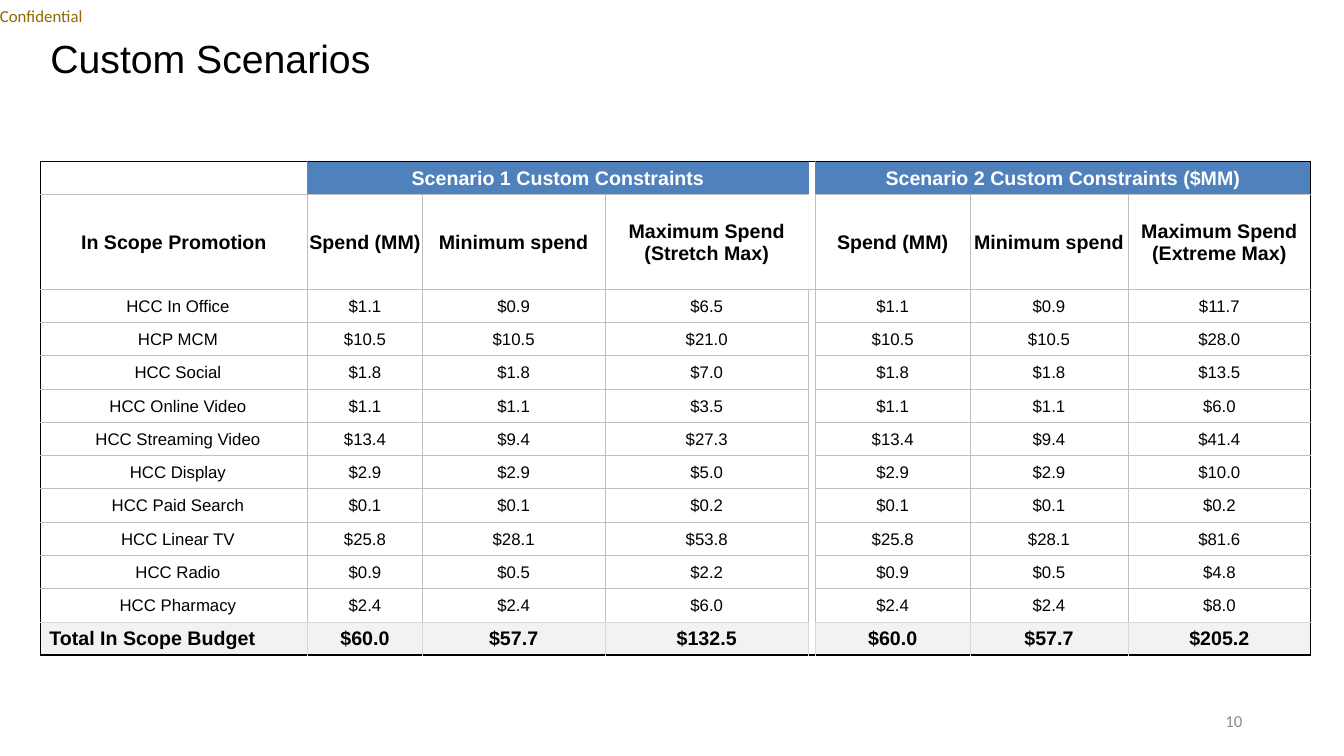
"""Build the custom scenarios slide with its spending table."""
from lxml.etree import SubElement as Sub
from pptx import Presentation
from pptx.dml.color import RGBColor as Rgb
from pptx.enum.text import MSO_ANCHOR as Anchor, MSO_AUTO_SIZE as Fit, PP_ALIGN as Align
from pptx.oxml.ns import qn
from pptx.util import Inches, Pt

TITLE = "Custom Scenarios"
MARK = "Confidential"
PAGE = "10"
BANDS = {1: "Scenario 1 Custom Constraints", 5: "Scenario 2 Custom Constraints ($MM)"}
HEADS = ["In Scope Promotion", "Spend (MM)", "Minimum spend",
         "Maximum Spend\n(Stretch Max)", "Maximum Spend\n(Extreme Max)"]
SPEND = [
    ("HCC In Office", 1.1, 0.9, 6.5, 11.7),
    ("HCP MCM", 10.5, 10.5, 21.0, 28.0),
    ("HCC Social", 1.8, 1.8, 7.0, 13.5),
    ("HCC Online Video", 1.1, 1.1, 3.5, 6.0),
    ("HCC Streaming Video", 13.4, 9.4, 27.3, 41.4),
    ("HCC Display", 2.9, 2.9, 5.0, 10.0),
    ("HCC Paid Search", 0.1, 0.1, 0.2, 0.2),
    ("HCC Linear TV", 25.8, 28.1, 53.8, 81.6),
    ("HCC Radio", 0.9, 0.5, 2.2, 4.8),
    ("HCC Pharmacy", 2.4, 2.4, 6.0, 8.0),
    ("Total In Scope Budget", 60.0, 57.7, 132.5, 205.2),
]
COLS = [2.65, 1.14, 1.81, 2.02, 0.07, 1.53, 1.57, 1.81]
ROWS = [0.33, 0.94] + [0.33] * len(SPEND)
GAP, LAST = 4, len(ROWS) - 1

BLACK = Rgb(0x00, 0x00, 0x00)
WHITE = Rgb(0xFF, 0xFF, 0xFF)
BLUE = Rgb(0x4F, 0x81, 0xBD)
PALE = Rgb(0xF2, 0xF2, 0xF2)
LIGHT = Rgb(0xD9, 0xD9, 0xD9)
GRAY = Rgb(0xBF, 0xBF, 0xBF)
DARK = Rgb(0x80, 0x80, 0x80)
GOLD = Rgb(0x8E, 0x6A, 0x00)
DIM = Rgb(0x8C, 0x8C, 0x8C)


def put(host, text, size=12, color=BLACK, bold=False, align=Align.CENTER,
        face="Arial", inset=(0.01, 0.01, 0.01, 0), lead=None):
    """Write text into a cell or a text frame."""
    host.vertical_anchor = Anchor.MIDDLE
    sides = [Inches(side) for side in inset]
    host.margin_left, host.margin_top, host.margin_right, host.margin_bottom = sides
    frame = getattr(host, "text_frame", host)
    frame.text = text
    for par in frame.paragraphs:
        par.alignment = align
        par.line_spacing = lead
        for run in par.runs:
            font = run.font
            font.name, font.size, font.bold = face, Pt(size), bold
            font.color.rgb = color


def level(row, col):
    """Return the colour of the horizontal rule above a row."""
    if row in (0, len(ROWS)):
        return BLACK
    if col == GAP and row != 2:
        return None
    return LIGHT if row == LAST else GRAY


def upright(row, col):
    """Return the colour of the vertical rule left of a column."""
    if col in (0, len(COLS)):
        return BLACK
    if col == GAP and row < 2:
        return None
    return {0: DARK, LAST: LIGHT}.get(row, GRAY)


def edge(cell, row, col):
    """Draw the four borders of a cell."""
    end = col + (cell.span_width if cell.is_merge_origin else 1)
    rules = {"L": upright(row, col), "R": upright(row, end),
             "T": level(row, col), "B": level(row + 1, col)}
    props = cell._tc.get_or_add_tcPr()
    for side, color in rules.items():
        width = Pt(1 if color == BLACK else 0.5)
        line = Sub(props, qn("a:ln" + side), w=str(width))
        if color is None:
            Sub(line, qn("a:noFill"))
        else:
            Sub(Sub(line, qn("a:solidFill")), qn("a:srgbClr"), val=str(color))


def spread(name, spend, least, most, extreme):
    """Lay one record out over the eight columns."""
    return [name, spend, least, most, "", spend, least, extreme]


def chart_grid(slide):
    """Add the table of both scenarios."""
    spot = [Inches(n) for n in (0.4, 1.6, sum(COLS), sum(ROWS))]
    grid = slide.shapes.add_table(len(ROWS), len(COLS), *spot).table
    grid.first_row = grid.horz_banding = False
    for col, width in zip(grid.columns, COLS):
        col.width = Inches(width)
    for row, height in zip(grid.rows, ROWS):
        row.height = Inches(height)
    for col in BANDS:
        grid.cell(0, col).merge(grid.cell(0, col + 2))
    cash = [spread(name, *[f"${n:.1f}" for n in sums]) for name, *sums in SPEND]
    lines = [[BANDS.get(col, "") for col in range(len(COLS))], spread(*HEADS)] + cash
    for row, line in enumerate(lines):
        strong = row in (0, 1, LAST)
        for col, text in enumerate(line):
            cell = grid.cell(row, col)
            edge(cell, row, col)
            cell.fill.solid()
            band = row == 0 and col not in (0, GAP)
            total = row == LAST and col != GAP
            cell.fill.fore_color.rgb = BLUE if band else PALE if total else WHITE
            left = 0.09 if col == 0 and row > 1 else 0.01
            inset = (left, 0.01, 0.01, 0) if text else (0, 0, 0, 0)
            put(cell, text, size=14 if strong else 12, color=WHITE if band else BLACK,
                bold=strong, inset=inset,
                align=Align.LEFT if total and col == 0 else Align.CENTER)


def main():
    """Build and save the slide."""
    deck = Presentation()
    deck.slide_width, deck.slide_height = Inches(13.33), Inches(7.5)
    slide = deck.slides.add_slide(deck.slide_layouts[5])
    pad = (0.1, 0.05, 0.1, 0.05)

    head = slide.shapes.title
    head.left, head.top, head.width, head.height = [Inches(n) for n in (0.4, 0.4, 12, 0.4)]
    put(head.text_frame, TITLE, size=28, align=Align.LEFT, inset=pad, lead=0.9)
    head.text_frame.auto_size = Fit.NONE

    mark = slide.shapes.add_textbox(0, 0, Inches(1.17), Inches(0.32)).text_frame
    put(mark, MARK, color=GOLD, face="Calibri", align=Align.LEFT, inset=(0, 0, 0, 0))
    mark.word_wrap, mark.auto_size = False, Fit.SHAPE_TO_FIT_TEXT

    chart_grid(slide)

    spot = [Inches(n) for n in (9.42, 6.95, 3, 0.4)]
    page = slide.shapes.add_textbox(*spot).text_frame
    put(page, PAGE, color=DIM, face="Calibri", align=Align.RIGHT, inset=pad)
    page.word_wrap = True
    deck.save("out.pptx")


if __name__ == "__main__":
    main()
